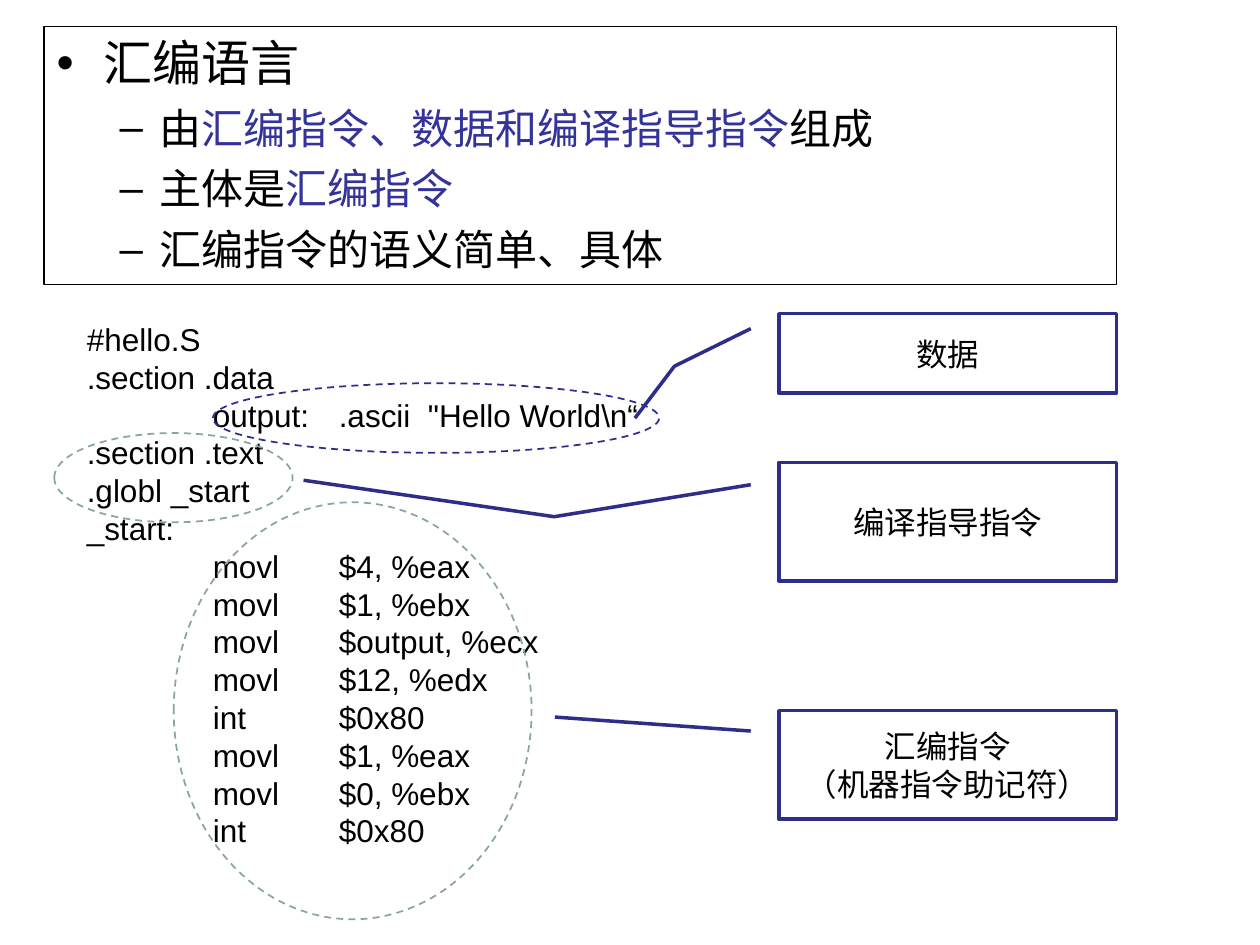
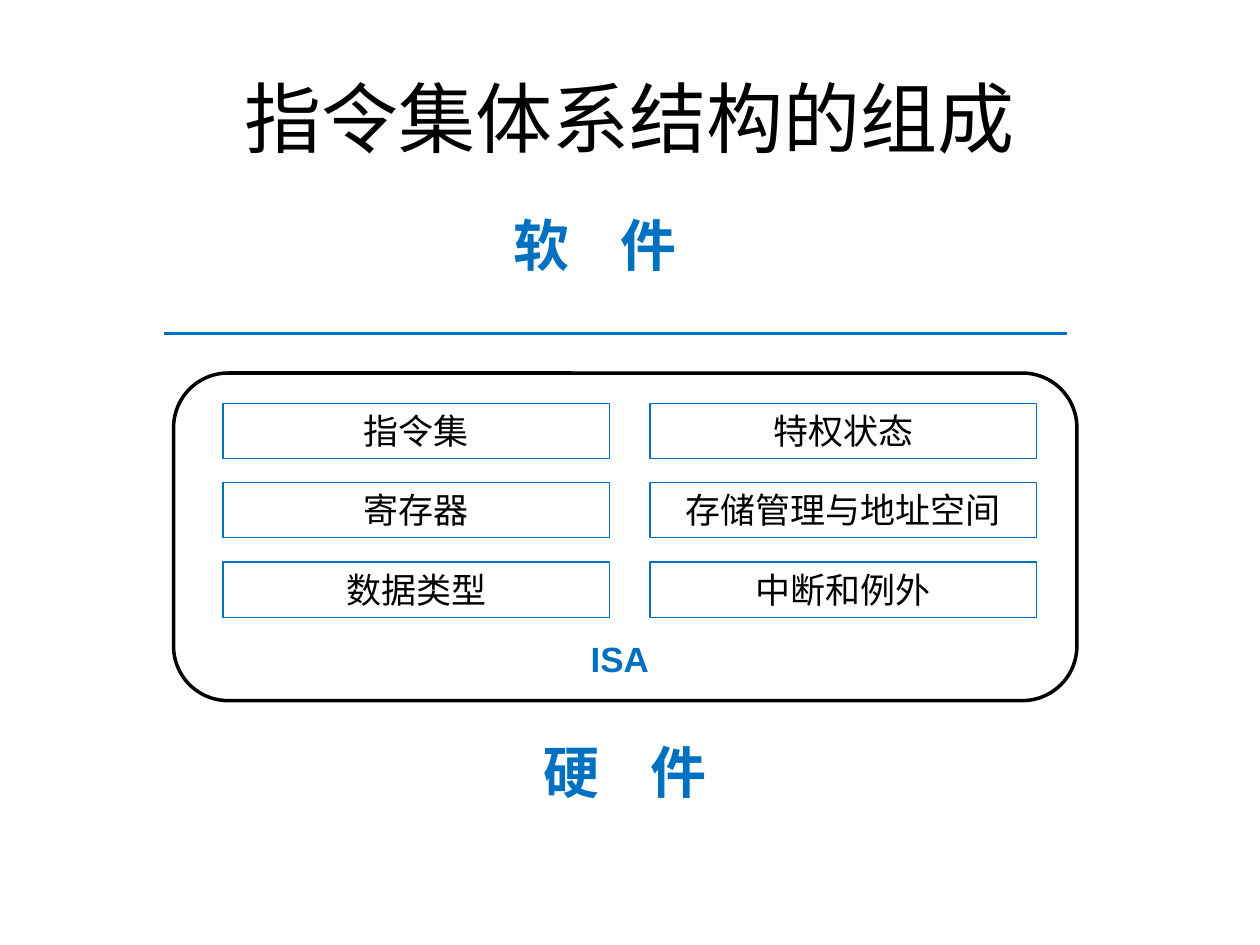
import dataclasses
import itertools
import typing

import pptx
import pptx.dml.color
import pptx.enum.dml
import pptx.enum.shapes
import pptx.enum.text
import pptx.oxml
import pptx.oxml.ns
import pptx.util

Pt = pptx.util.Pt
Shape = pptx.enum.shapes.MSO_SHAPE
Align = pptx.enum.text.PP_ALIGN
Anchor = pptx.enum.text.MSO_ANCHOR


@dataclasses.dataclass(frozen=True)
class Theme:
    font: str = "Arial"
    black: str = "000000"
    white: str = "FFFFFF"
    navy: str = "2D2D8A"
    indigo: str = "333399"
    sage: str = "89A4A7"
    blue: str = "0070C0"
    title: float = 44
    layer: float = 32
    topic: float = 28
    point: float = 24
    component: float = 20
    code: float = 18
    leading: float = 1.2
    tab: float = 72


THEME = Theme()


class Box(typing.NamedTuple):
    left: float
    top: float
    width: float
    height: float

    def lengths(self) -> list[int]:
        return [Pt(value) for value in self]


class Outline(typing.NamedTuple):
    color: str
    width: float
    dashed: bool = False


class Span(typing.NamedTuple):
    text: str
    color: str = THEME.black


@dataclasses.dataclass(frozen=True)
class TextStyle:
    size: float
    align: typing.Any = Align.LEFT
    bold: bool = False
    level: int = 0
    space_before: float = 0
    tabs: tuple[float, ...] = ()


class Line(typing.NamedTuple):
    spans: list[Span]
    style: TextStyle


class Callout(typing.NamedTuple):
    labels: list[str]
    top: float
    height: float
    kind: typing.Any
    leader: list[float]


class Layer(typing.NamedTuple):
    first: str
    second: str
    left: float
    top: float


CODE = """#hello.S
.section .data
\toutput:\t.ascii  "Hello World\\n“
.section .text
.globl _start
_start:
\tmovl\t$4, %eax
\tmovl\t$1, %ebx
\tmovl\t$output, %ecx
\tmovl\t$12, %edx
\tint\t$0x80
\tmovl\t$1, %eax
\tmovl\t$0, %ebx
\tint\t$0x80"""

POINT = TextStyle(THEME.point, level=1, space_before=6)
ASSEMBLY = [
    Line([Span("汇编语言")], TextStyle(THEME.topic)),
    Line([Span("由"), Span("汇编指令、数据和编译指导指令", THEME.indigo), Span("组成")], POINT),
    Line([Span("主体是"), Span("汇编指令", THEME.indigo)], POINT),
    Line([Span("汇编指令的语义简单、具体")], POINT),
]

LEADER_START = [0.188, -0.083]
CALLOUTS = [
    Callout(["数据"], 179.3, 45.4, Shape.LINE_CALLOUT_2, [0.661, -0.309, 1.315, -0.426]),
    Callout(["编译指导指令"], 264.3, 67.7, Shape.LINE_CALLOUT_2, [0.458, -0.665, 0.15, -1.407]),
    Callout(["汇编指令", "（机器指令助记符）"], 406.1, 62, Shape.LINE_CALLOUT_1, [0.059, -0.663]),
]

CODE_MARKS = [
    (Box(99.3, 287, 204.5, 238.3), THEME.sage),
    (Box(31, 247.5, 136.2, 51), THEME.sage),
    (Box(121.7, 219, 255, 39.8), THEME.navy),
]

ISA_COMPONENTS = [
    ["指令集", "特权状态"],
    ["寄存器", "存储管理与地址空间"],
    ["数据类型", "中断和例外"],
]

LAYERS = [Layer("软", "件", 286.6, 116.6), Layer("硬", "件", 303.4, 417.6)]


def rgb(color: str) -> pptx.dml.color.RGBColor:
    return pptx.dml.color.RGBColor.from_string(color)


def set_tabs(paragraph: typing.Any, stops: tuple[float, ...]) -> None:
    tab_list = pptx.oxml.parse_xml(f"<a:tabLst {pptx.oxml.ns.nsdecls('a')}/>")
    for stop in stops:
        tab = tab_list.makeelement(pptx.oxml.ns.qn("a:tab"), {"pos": str(Pt(stop)), "algn": "l"})
        tab_list.append(tab)
    paragraph._p.get_or_add_pPr().append(tab_list)


def write(frame: typing.Any, lines: list[Line], anchor: typing.Any = Anchor.TOP) -> None:
    frame.word_wrap = True
    frame.auto_size = pptx.enum.text.MSO_AUTO_SIZE.NONE
    frame.vertical_anchor = anchor
    for index, (spans, style) in enumerate(lines):
        paragraph = frame.add_paragraph() if index else frame.paragraphs[0]
        if style.tabs:
            set_tabs(paragraph, style.tabs)
        formats = {
            "level": style.level,
            "alignment": style.align,
            "space_before": Pt(style.space_before),
            "line_spacing": Pt(style.size * THEME.leading),
        }
        for name, value in formats.items():
            setattr(paragraph, name, value)
        for span in spans:
            run = paragraph.add_run()
            run.text = span.text
            for name, value in {"name": THEME.font, "size": Pt(style.size), "bold": style.bold}.items():
                setattr(run.font, name, value)
            run.font.color.rgb = rgb(span.color)


def plain(texts: list[str], style: TextStyle, color: str = THEME.black) -> list[Line]:
    """Lines that each have a single colour."""
    return [Line([Span(text, color)], style) for text in texts]


def set_outline(line: typing.Any, outline: Outline) -> None:
    line.color.rgb = rgb(outline.color)
    line.width = Pt(outline.width)
    if outline.dashed:
        line.dash_style = pptx.enum.dml.MSO_LINE.DASH


def add_outlined(slide: typing.Any, kind: typing.Any, box: Box, outline: Outline) -> typing.Any:
    shape = slide.shapes.add_shape(kind, *box.lengths())
    shape.shadow.inherit = False
    shape.fill.background()
    set_outline(shape.line, outline)
    return shape


def add_text(slide: typing.Any, box: Box, lines: list[Line]) -> None:
    write(slide.shapes.add_textbox(*box.lengths()).text_frame, lines)


def place(placeholder: typing.Any, box: Box) -> None:
    for name, value in zip(("left", "top", "width", "height"), box.lengths()):
        setattr(placeholder, name, value)


def add_callout(slide: typing.Any, callout: Callout) -> None:
    box = Box(445, callout.top, 193, callout.height)
    shape = add_outlined(slide, callout.kind, box, Outline(THEME.navy, 2))
    shape.fill.solid()
    shape.fill.fore_color.rgb = rgb(THEME.white)
    for index, value in enumerate(LEADER_START + callout.leader):
        shape.adjustments[index] = value
    write(shape.text_frame, plain(callout.labels, TextStyle(THEME.code, Align.CENTER)), Anchor.MIDDLE)


def build_assembly_slide(deck: typing.Any) -> None:
    slide = deck.slides.add_slide(deck.slide_layouts[1])
    unused_title = slide.shapes.title._element
    unused_title.getparent().remove(unused_title)

    summary = slide.placeholders[1]
    place(summary, Box(25.2, 15.1, 612.8, 147.6))
    set_outline(summary.line, Outline(THEME.black, 0.75))
    write(summary.text_frame, ASSEMBLY)

    code_style = TextStyle(THEME.code, tabs=(THEME.tab, 2 * THEME.tab))
    add_text(slide, Box(42.5, 179.3, 368.6, 309.6), plain(CODE.splitlines(), code_style))
    for callout in CALLOUTS:
        add_callout(slide, callout)
    for box, color in CODE_MARKS:
        add_outlined(slide, Shape.OVAL, box, Outline(color, 1, dashed=True))


def build_isa_slide(deck: typing.Any) -> None:
    slide = deck.slides.add_slide(deck.slide_layouts[5])
    heading = slide.shapes.title
    place(heading, Box(36, 21.6, 648, 90))
    write(heading.text_frame, plain(["指令集体系结构的组成"], TextStyle(THEME.title, Align.CENTER)), Anchor.MIDDLE)

    add_outlined(slide, Shape.ROUNDED_RECTANGLE, Box(99.2, 213.2, 516.2, 187.2), Outline(THEME.black, 2))
    component_style = TextStyle(THEME.component, Align.CENTER)
    for row, column in itertools.product(range(3), range(2)):
        box = Box(127.4 + 244 * column, 230.4 + 45.4 * row, 221, 31.5)
        component = add_outlined(slide, Shape.RECTANGLE, box, Outline(THEME.blue, 0.75))
        write(component.text_frame, plain([ISA_COMPONENTS[row][column]], component_style))
    isa_style = dataclasses.replace(component_style, bold=True)
    add_text(slide, Box(263.5, 360.7, 181.4, 31.5), plain(["ISA"], isa_style, THEME.blue))

    boundary = slide.shapes.add_connector(
        pptx.enum.shapes.MSO_CONNECTOR.STRAIGHT, Pt(93.6), Pt(190.6), Pt(609.8), Pt(190.6)
    )
    set_outline(boundary.line, Outline(THEME.blue, 2))
    no_effects = pptx.oxml.parse_xml(f"<a:effectLst {pptx.oxml.ns.nsdecls('a')}/>")
    boundary._element.spPr.append(no_effects)

    layer_style = TextStyle(THEME.layer, bold=True, tabs=(61,))
    for layer in LAYERS:
        box = Box(layer.left, layer.top, 124.6, 46)
        add_text(slide, box, plain([f"{layer.first}\t{layer.second}"], layer_style, THEME.blue))


def main() -> None:
    deck = pptx.Presentation()
    deck.slide_width, deck.slide_height = Pt(720), Pt(540)
    build_assembly_slide(deck)
    build_isa_slide(deck)
    deck.save("out.pptx")


if __name__ == "__main__":
    main()
